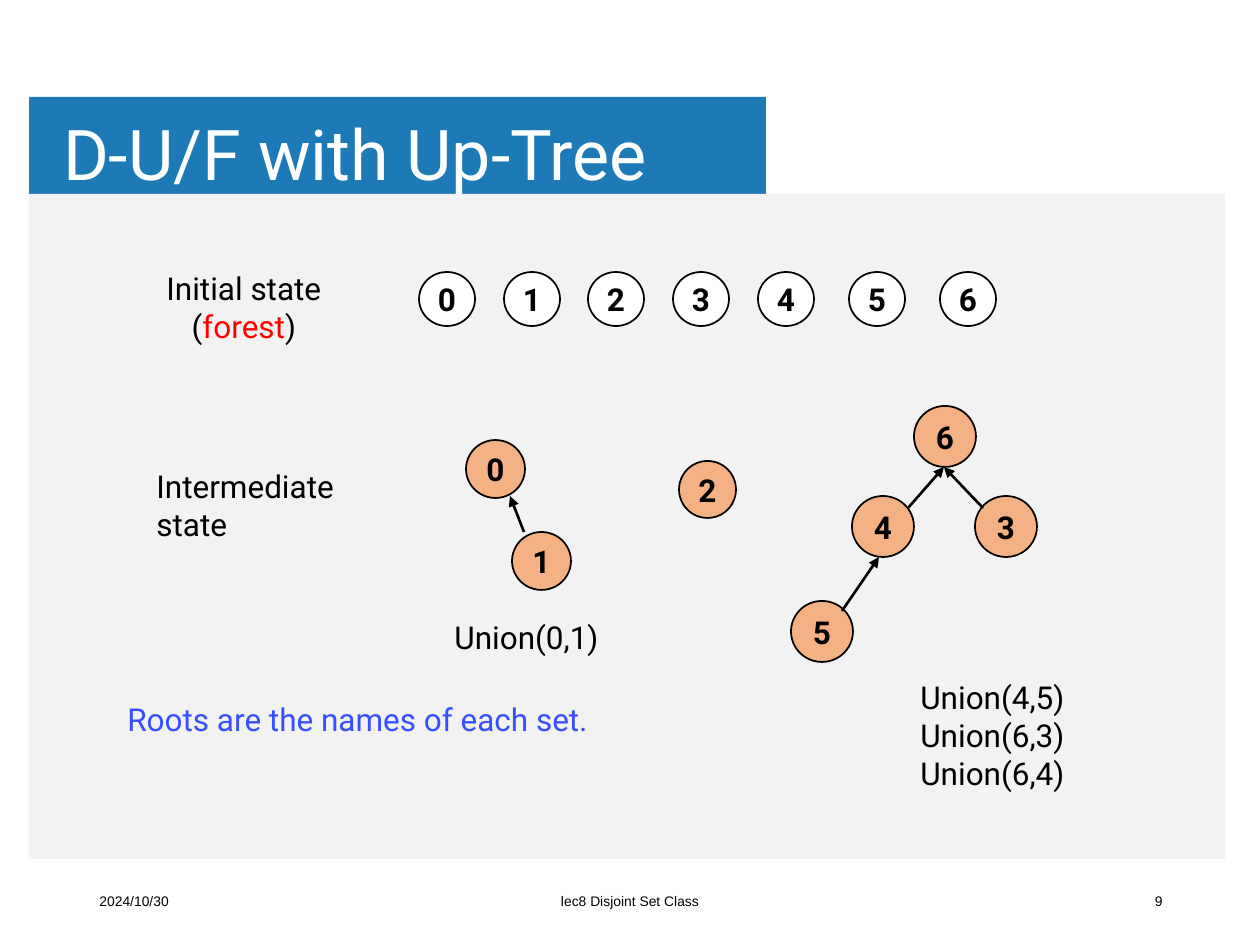
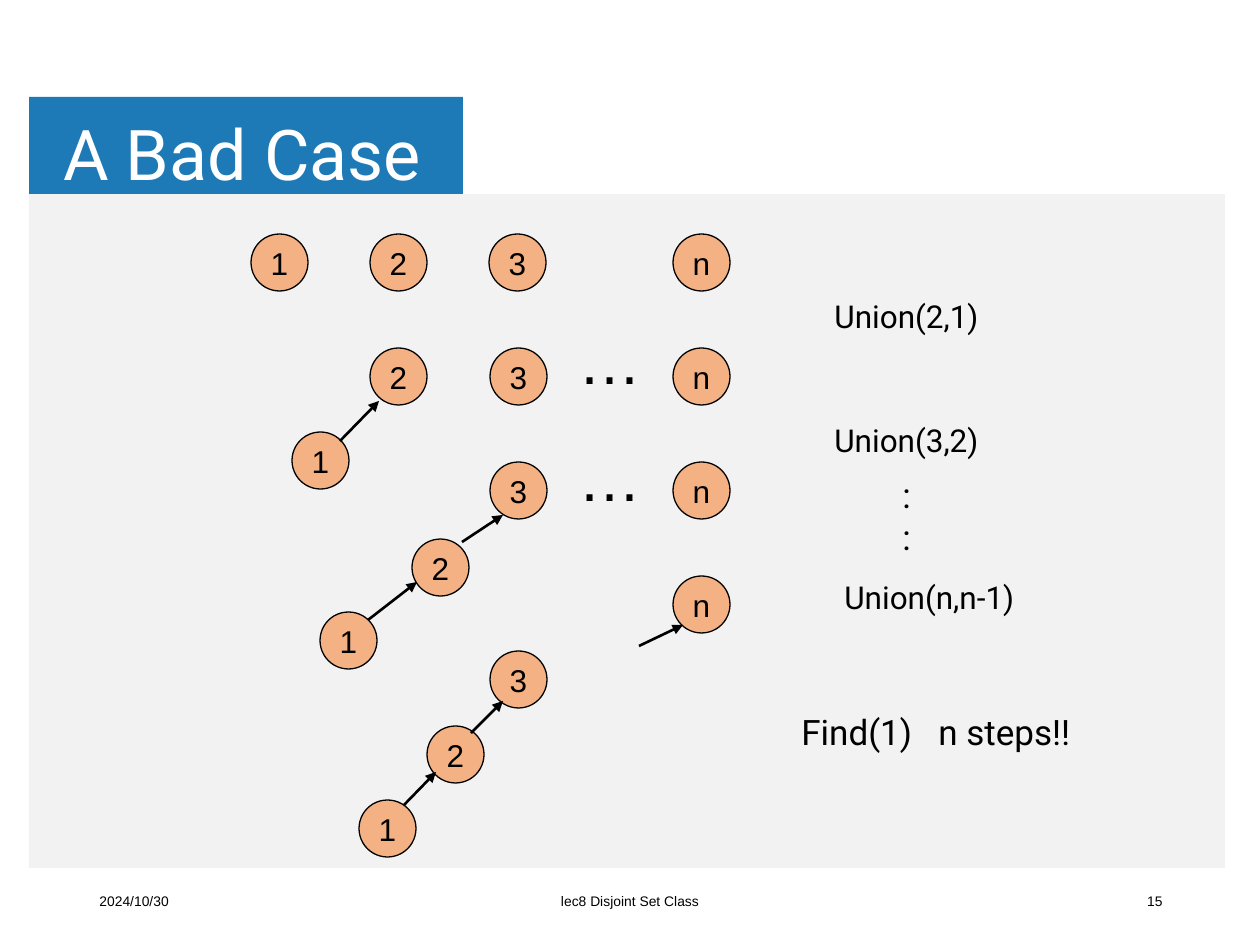
import lxml.etree
import pptx
import pptx.dml.color
import pptx.enum.shapes
import pptx.enum.text
import pptx.oxml.ns
import pptx.util

COLORS = {
    "black": "000000", "white": "FFFFFF", "blue": "1E7AB6", "panel": "F2F2F2",
    "node": "F4B183", "red": "FF0000", "roots": "374FFF",
}
ALIGN = pptx.enum.text.PP_ALIGN
ANCHOR = pptx.enum.text.MSO_ANCHOR
SHAPE = pptx.enum.shapes.MSO_SHAPE
FIT = pptx.enum.text.MSO_AUTO_SIZE
EMU_PER_PX = 914400 / 126
PANEL_LEFT, PANEL_TOP, PANEL_WIDTH = 29, 194, 1196
NODE_SIZE = 57


def emu(px):
    return pptx.util.Emu(round(px * EMU_PER_PX))


def rgb(color):
    return pptx.dml.color.RGBColor.from_string(COLORS[color])


def add_xml(parent, tag, **attributes):
    return lxml.etree.SubElement(parent, pptx.oxml.ns.qn(tag), attributes)


def write_text(shape, text, size=18, font="Roboto", color="black", bold=False,
               aligns=(ALIGN.LEFT,), anchor=ANCHOR.TOP, wrap=False, fit=FIT.NONE,
               spacing=None, tab=None, accents=None):
    frame = shape.text_frame
    frame.word_wrap = wrap
    frame.auto_size = fit
    frame.vertical_anchor = anchor
    for index, line in enumerate(text.split("\n")):
        paragraph = frame.add_paragraph() if index else frame.paragraphs[0]
        paragraph.alignment = aligns[min(index, len(aligns) - 1)]
        if spacing:
            paragraph.line_spacing = spacing
        if tab:
            tabs = add_xml(paragraph._p.get_or_add_pPr(), "a:tabLst")
            add_xml(tabs, "a:tab", pos=str(emu(tab)), algn="l")
        for part in line.split("|"):
            run = paragraph.add_run()
            run.text = part
            run.font.size = pptx.util.Pt(size)
            run.font.name = font
            run.font.bold = bold
            run.font.color.rgb = rgb((accents or {}).get(part, color))


def add_text(slide, box, text, **style):
    shape = slide.shapes.add_textbox(*map(emu, box))
    write_text(shape, text, **style)
    return shape


def add_label(slide, box, text, **style):
    return add_text(slide, box, text, fit=FIT.SHAPE_TO_FIT_TEXT, **style)


def add_filled(slide, kind, box, fill, line_width=0):
    shape = slide.shapes.add_shape(kind, *map(emu, box))
    shape.shadow.inherit = False
    shape.fill.solid()
    shape.fill.fore_color.rgb = rgb(fill)
    if line_width:
        shape.line.color.rgb = rgb("black")
        shape.line.width = pptx.util.Pt(line_width)
    else:
        shape.line.fill.background()
    return shape


def add_node(slide, box, name, fill="node", line_width=1, **style):
    shape = add_filled(slide, SHAPE.OVAL, box, fill, line_width)
    write_text(shape, name, aligns=(ALIGN.CENTER,), anchor=ANCHOR.MIDDLE, **style)


def add_arrow(slide, start, end):
    connector = slide.shapes.add_connector(
        pptx.enum.shapes.MSO_CONNECTOR.STRAIGHT, *map(emu, start + end))
    connector.line.color.rgb = rgb("black")
    connector.line.width = pptx.util.Pt(1.5)
    properties = connector._element.spPr
    add_xml(properties.find(pptx.oxml.ns.qn("a:ln")), "a:tailEnd", type="triangle")
    add_xml(properties, "a:effectLst")


def draw_tree(slide, origin, nodes, edges, width=NODE_SIZE, height=NODE_SIZE, **style):
    left, top = origin
    for name, x, y in nodes:
        add_node(slide, (left + x, top + y, width, height), name, **style)
    for start_x, start_y, end_x, end_y in edges:
        add_arrow(slide, (left + start_x, top + start_y), (left + end_x, top + end_y))


def draw_frame(slide, title, title_width, panel_height, number):
    add_filled(slide, SHAPE.RECTANGLE, (PANEL_LEFT, 97, title_width, 210), "blue")
    add_filled(slide, SHAPE.RECTANGLE,
               (PANEL_LEFT, PANEL_TOP, PANEL_WIDTH, panel_height), "panel")
    heading = add_text(slide, (54, 96, 1012, 123), title, size=40, color="white",
                       anchor=ANCHOR.MIDDLE, wrap=True, spacing=0.9)
    frame = heading.text_frame
    frame.margin_left = frame.margin_right = emu(9)
    frame.margin_top = frame.margin_bottom = emu(5)
    footers = [
        (87, 284, "2024/10/30", ALIGN.LEFT),
        (417, 426, "lec8 Disjoint Set Class", ALIGN.CENTER),
        (891, 284, number, ALIGN.RIGHT),
    ]
    for left, width, text, align in footers:
        add_text(slide, (left, 876, width, 50), text, size=7.9, font="Arial",
                 aligns=(align,), anchor=ANCHOR.MIDDLE, wrap=True)


def draw_initial_state(slide, left, top):
    nodes = [(str(index), x, 9)
             for index, x in enumerate((265, 350, 434, 519, 604, 695, 786))]
    draw_tree(slide, (left, top), nodes, [], width=56, height=54,
              fill="white", bold=True)
    add_label(slide, (left, top, 197, 89), "Initial state\n(|forest|)",
              aligns=(ALIGN.LEFT, ALIGN.CENTER), accents={"forest": "red"})


def draw_intermediate_state(slide, left, top):
    draw_tree(slide, (left + 322, top + 34), [("0", 0, 0), ("1", 46, 92)],
              [(58, 92, 44, 56)], width=59, height=58, bold=True)
    draw_tree(slide, (left + 535, top + 55), [("2", 0, 0)], [], bold=True)
    draw_tree(slide, (left + 647, top),
              [("3", 184, 90), ("4", 61, 90), ("5", 0, 195), ("6", 123, 0)],
              [(117, 102, 153, 61), (192, 102, 153, 61), (51, 205, 88, 151)],
              width=62, height=61, bold=True)
    add_label(slide, (left, top + 55, 218, 89), "Intermediate\nstate")
    add_label(slide, (left - 29, top + 288, 501, 50),
              "Roots are the names of each set.", color="roots")
    add_label(slide, (left + 298, top + 206, 185, 50), "Union(0,1)")
    add_label(slide, (left + 764, top + 266, 188, 127),
              "Union(4,5)\nUnion(6,3)\nUnion(6,4)")


def draw_union_stages(slide, left, top):
    stages = [
        ([("1", 0, 0), ("2", 119, 0), ("3", 238, 0)], [], None),
        ([("1", 41, 84), ("2", 119, 0), ("3", 239, 0)], [(89, 93, 128, 53)], -33),
        ([("1", 69, 150), ("2", 161, 77), ("3", 239, 0)],
         [(211, 80, 252, 53), (117, 158, 166, 120)], -30),
        ([("1", 108, 224), ("2", 176, 150), ("3", 239, 75)],
         [(388, 70, 432, 49), (153, 229, 185, 196), (220, 157, 252, 125)], None),
    ]
    for index, (nodes, edges, dots_top) in enumerate(stages):
        stage_top = top + 114 * index
        draw_tree(slide, (left, stage_top), nodes + [("n", 422, 0)], edges,
                  line_width=0.75, font="Arial")
        if dots_top is not None:
            add_text(slide, (left + 315, stage_top + dots_top, 159, 160), "…",
                     size=36, font="Arial")


def draw_union_calls(slide, left, top):
    add_label(slide, (left + 33, top, 183, 50), "Union(2,1)")
    add_label(slide, (left + 33, top + 124, 186, 50), "Union(3,2)")
    add_label(slide, (left + 101, top + 176, 38, 97), ":\n:", size=20)
    add_label(slide, (left + 43, top + 281, 215, 50), "Union(n,n-1)")
    add_label(slide, (left, top + 413, 314, 55), "Find(1)\tn steps!!", size=20, tab=137)


def build_up_tree_slide(slide):
    draw_frame(slide, "D-U/F with Up-Tree", 737, 665, "9")
    draw_initial_state(slide, PANEL_LEFT + 125, PANEL_TOP + 69)
    draw_intermediate_state(slide, PANEL_LEFT + 115, PANEL_TOP + 212)


def build_bad_case_slide(slide):
    draw_frame(slide, "A Bad Case", 434, 674, "15")
    draw_union_stages(slide, PANEL_LEFT + 222, PANEL_TOP + 40)
    draw_union_calls(slide, PANEL_LEFT + 760, PANEL_TOP + 97)


def main():
    presentation = pptx.Presentation()
    presentation.slide_width = emu(1260)
    presentation.slide_height = emu(945)
    for build in (build_up_tree_slide, build_bad_case_slide):
        build(presentation.slides.add_slide(presentation.slide_layouts[6]))
    presentation.save("out.pptx")


if __name__ == "__main__":
    main()
